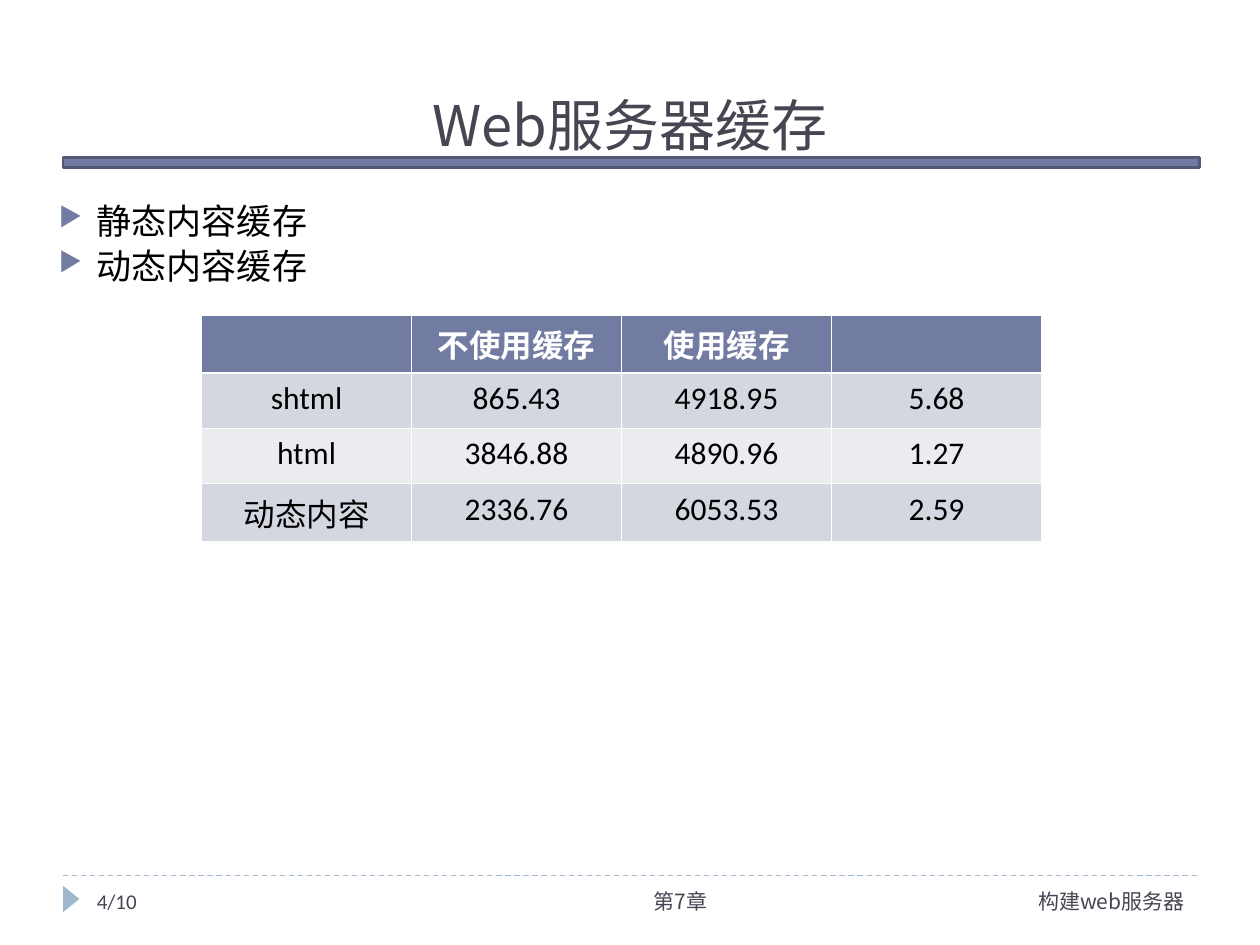
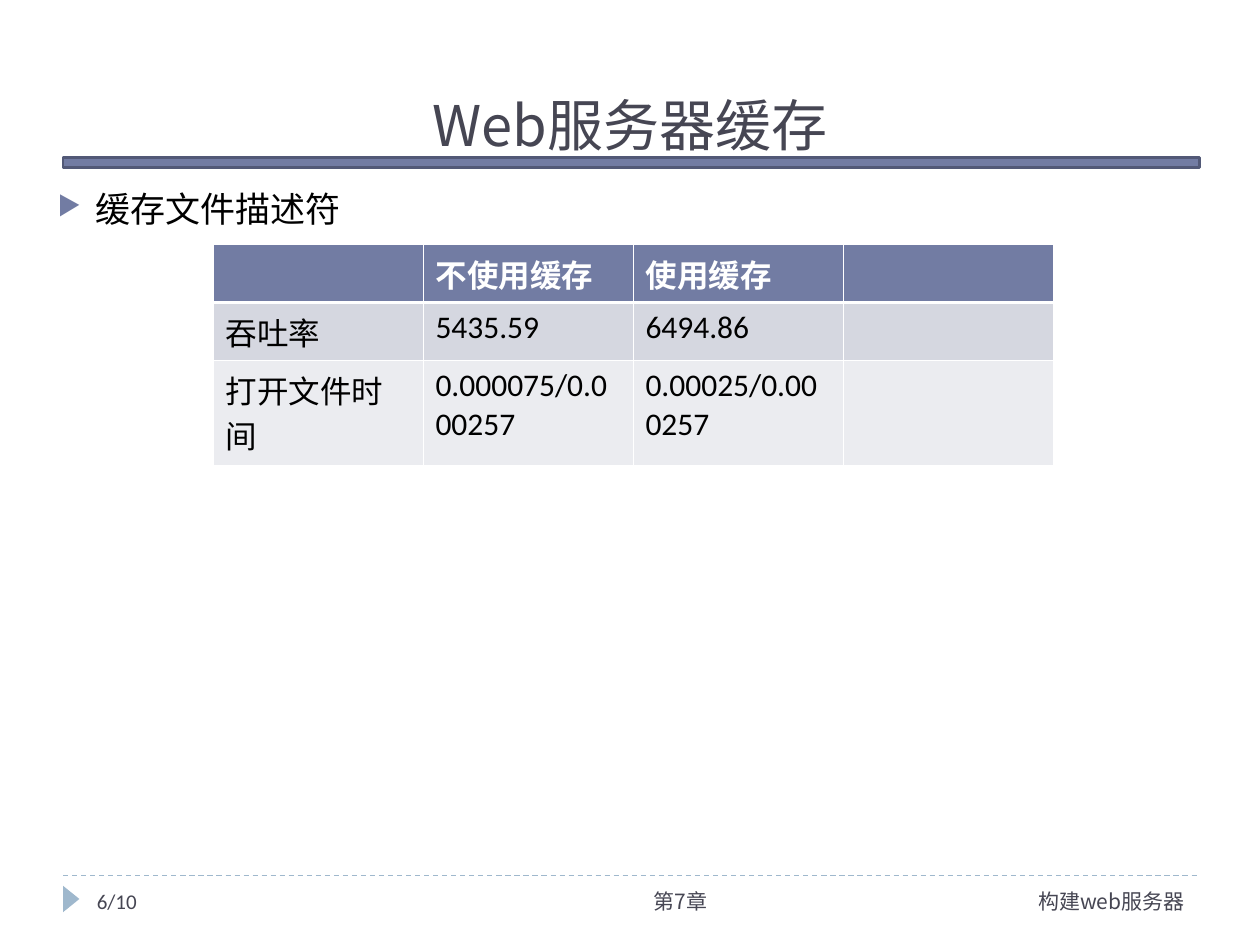
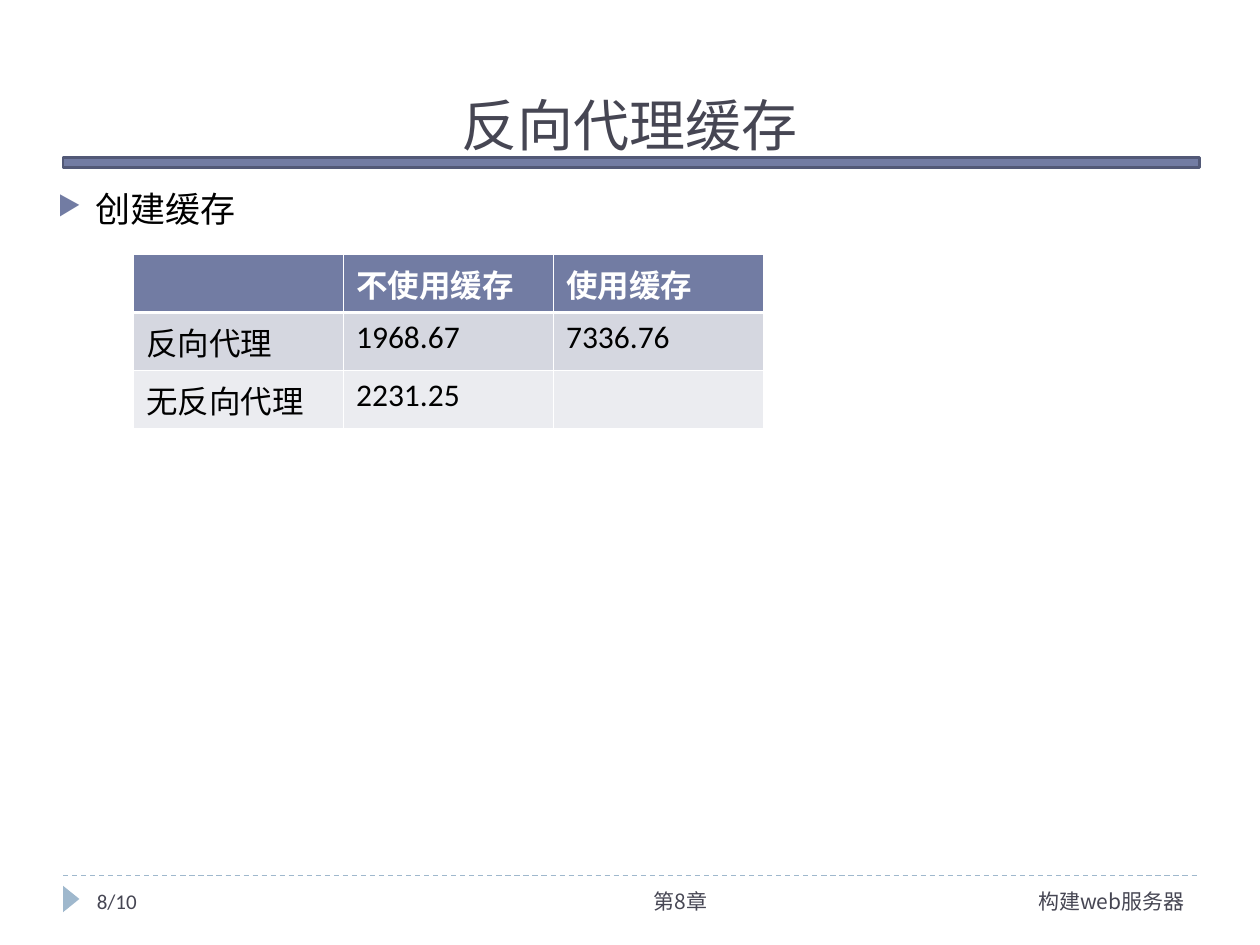
from dataclasses import dataclass

from lxml.etree import SubElement
from pptx import Presentation
from pptx.dml.color import RGBColor
from pptx.enum.dml import MSO_LINE
from pptx.enum.shapes import MSO_CONNECTOR, MSO_SHAPE
from pptx.enum.text import MSO_ANCHOR, PP_ALIGN
from pptx.oxml.ns import qn
from pptx.util import Inches, Pt


@dataclass(frozen=True)
class Theme:
    accent: str = "727CA3"
    accent_dark: str = "525977"
    accent_light: str = "9FB8CD"
    heading: str = "464653"
    body: str = "000000"
    white: str = "FFFFFF"
    row_bands: tuple = ("D5D7E0", "EBECF0")
    cjk_font: str = "Noto Sans CJK SC"
    latin_font: str = "Calibri"
    title_size: int = 32
    body_size: int = 20
    table_size: int = 18
    footer_size: int = 12
    thin_border: float = 0.45
    header_border: float = 1.47


def rgb(value):
    return RGBColor.from_string(value)


def write(paragraph, text, *, size, color, font, align=PP_ALIGN.LEFT, bold=False):
    paragraph.alignment = align
    run = paragraph.add_run()
    run.text = text
    run.font.size = Pt(size)
    run.font.bold = bold
    run.font.name = font
    run.font.color.rgb = rgb(color)
    SubElement(run._r.get_or_add_rPr(), qn("a:ea"), typeface=Theme.cjk_font)


def add_bullet(paragraph, color):
    properties = paragraph._p.get_or_add_pPr()
    properties.set("marL", str(Inches(0.3)))
    properties.set("indent", str(-Inches(0.3)))
    bullet_color = SubElement(properties, qn("a:buClr"))
    SubElement(bullet_color, qn("a:srgbClr"), val=color)
    SubElement(properties, qn("a:buSzPct"), val="76000")
    SubElement(properties, qn("a:buChar"), char="▶")


def add_borders(cell, color, **widths):
    """Draw cell edges; widths in points, keyed L, R, T, B in that order."""
    properties = cell._tc.get_or_add_tcPr()
    for side, width in widths.items():
        edge = SubElement(properties, qn(f"a:ln{side}"), w=str(Pt(width)))
        fill = SubElement(edge, qn("a:solidFill"))
        SubElement(fill, qn("a:srgbClr"), val=color)


class Deck:
    def __init__(self, theme):
        self.theme = theme
        self.presentation = Presentation()
        self.presentation.slide_width = Inches(10)
        self.presentation.slide_height = Inches(7.5)
        self.slide = None

    def start_slide(self, title, page, chapter):
        layout = self.presentation.slide_layouts.get_by_name("Title Only")
        self.slide = self.presentation.slides.add_slide(layout)
        self.title(title)
        self.shape(MSO_SHAPE.RECTANGLE, 0.5, 1.25, 9.02, 0.08,
                   self.theme.accent, outline=self.theme.accent_dark)
        self.footer(page, chapter)

    def title(self, text):
        heading = self.slide.shapes.title
        heading.left, heading.top = Inches(0.5), Inches(0.17)
        heading.width, heading.height = Inches(9), Inches(1.08)
        frame = heading.text_frame
        frame.vertical_anchor = MSO_ANCHOR.BOTTOM
        frame.margin_top = frame.margin_bottom = 0
        write(frame.paragraphs[0], text, size=self.theme.title_size,
              color=self.theme.heading, font=self.theme.cjk_font,
              align=PP_ALIGN.CENTER)

    def shape(self, preset, left, top, width, height, fill, outline=None, rotation=0):
        shape = self.slide.shapes.add_shape(
            preset, Inches(left), Inches(top), Inches(width), Inches(height))
        shape.shadow.inherit = False
        shape.rotation = rotation
        shape.fill.solid()
        shape.fill.fore_color.rgb = rgb(fill)
        if outline:
            shape.line.color.rgb = rgb(outline)
            shape.line.width = Pt(1.5)
        else:
            shape.line.fill.background()

    def dashed_rule(self, top):
        rule = self.slide.shapes.add_connector(
            MSO_CONNECTOR.STRAIGHT, Inches(0.5), Inches(top), Inches(9.5), Inches(top))
        rule.line.color.rgb = rgb(self.theme.accent_light)
        rule.line.width = Pt(0.75)
        rule.line.dash_style = MSO_LINE.DASH
        SubElement(rule._element.spPr, qn("a:effectLst"))

    def text_frame(self, left, top, width, height):
        box = self.slide.shapes.add_textbox(
            Inches(left), Inches(top), Inches(width), Inches(height))
        box.text_frame.word_wrap = True
        return box.text_frame

    def footer(self, page, chapter):
        theme = self.theme
        self.dashed_rule(6.95)
        self.shape(MSO_SHAPE.ISOSCELES_TRIANGLE, 0.46, 7.07, 0.21, 0.13,
                   theme.accent_light, rotation=90)
        parts = (
            (page, 0.67, 2.17, PP_ALIGN.LEFT, theme.latin_font),
            (chapter, 3.88, 3.08, PP_ALIGN.CENTER, theme.cjk_font),
            ("构建web服务器", 6.42, 3.08, PP_ALIGN.RIGHT, theme.cjk_font),
        )
        for text, left, width, align, font in parts:
            frame = self.text_frame(left, 7, width, 0.4)
            write(frame.paragraphs[0], text, size=theme.footer_size,
                  color=theme.heading, font=font, align=align)

    def bullets(self, items, left=0.36, top=1.47):
        frame = self.text_frame(left, top, 9.13, 5.12)
        frame.margin_top = Inches(0.08)
        for index, item in enumerate(items):
            paragraph = frame.add_paragraph() if index else frame.paragraphs[0]
            write(paragraph, item, size=self.theme.body_size,
                  color=self.theme.body, font=self.theme.cjk_font)
            paragraph.space_before = Pt(6)
            paragraph.line_spacing = 0.82
            add_bullet(paragraph, self.theme.accent)

    def table(self, rows, left, top, heights, align=PP_ALIGN.LEFT):
        theme = self.theme
        column_width = Inches(5 / 3)
        table = self.slide.shapes.add_table(
            len(rows), len(rows[0]), Inches(left), Inches(top),
            column_width * len(rows[0]), Inches(sum(heights))).table
        table.horz_banding = False
        for column in table.columns:
            column.width = column_width
        for r, (row, height) in enumerate(zip(rows, heights)):
            table.rows[r].height = Inches(height)
            is_header = r == 0
            fill = theme.accent if is_header else theme.row_bands[(r - 1) % 2]
            for c, text in enumerate(row):
                cell = table.cell(r, c)
                add_borders(cell, theme.white, L=theme.thin_border, R=theme.thin_border,
                            T=theme.header_border if r == 1 else theme.thin_border,
                            B=theme.header_border if is_header else theme.thin_border)
                cell.fill.solid()
                cell.fill.fore_color.rgb = rgb(fill)
                if text:
                    write(cell.text_frame.paragraphs[0], text, size=theme.table_size,
                          color=theme.white if is_header else theme.body,
                          font=theme.latin_font, align=align, bold=is_header)


def main():
    deck = Deck(Theme())
    cache_header = ("", "不使用缓存", "使用缓存")

    deck.start_slide("Web服务器缓存", "4/10", "第7章 ")
    deck.bullets(["静态内容缓存", "动态内容缓存"], left=0.37, top=1.56)
    deck.table([
        (*cache_header, ""),
        ("shtml", "865.43", "4918.95", "5.68"),
        ("html", "3846.88", "4890.96", "1.27"),
        ("动态内容", "2336.76", "6053.53", "2.59"),
    ], 1.6, 2.5, (0.46, 0.44, 0.44, 0.46), align=PP_ALIGN.CENTER)

    deck.start_slide("Web服务器缓存", "6/10", "第7章 ")
    deck.bullets(["缓存文件描述符"])
    deck.table([
        (*cache_header, ""),
        ("吞吐率", "5435.59", "6494.86", ""),
        ("打开文件时间", "0.000075/0.000257", "0.00025/0.000257", ""),
    ], 1.69, 1.94, (0.46, 0.46, 0.83))

    deck.start_slide("反向代理缓存", "8/10", "第8章 ")
    deck.bullets(["创建缓存"])
    deck.table([
        cache_header,
        ("反向代理", "1968.67", "7336.76"),
        ("无反向代理", "2231.25", ""),
    ], 1.06, 2.02, (0.46, 0.46, 0.46))

    deck.presentation.save("out.pptx")


if __name__ == "__main__":
    main()
